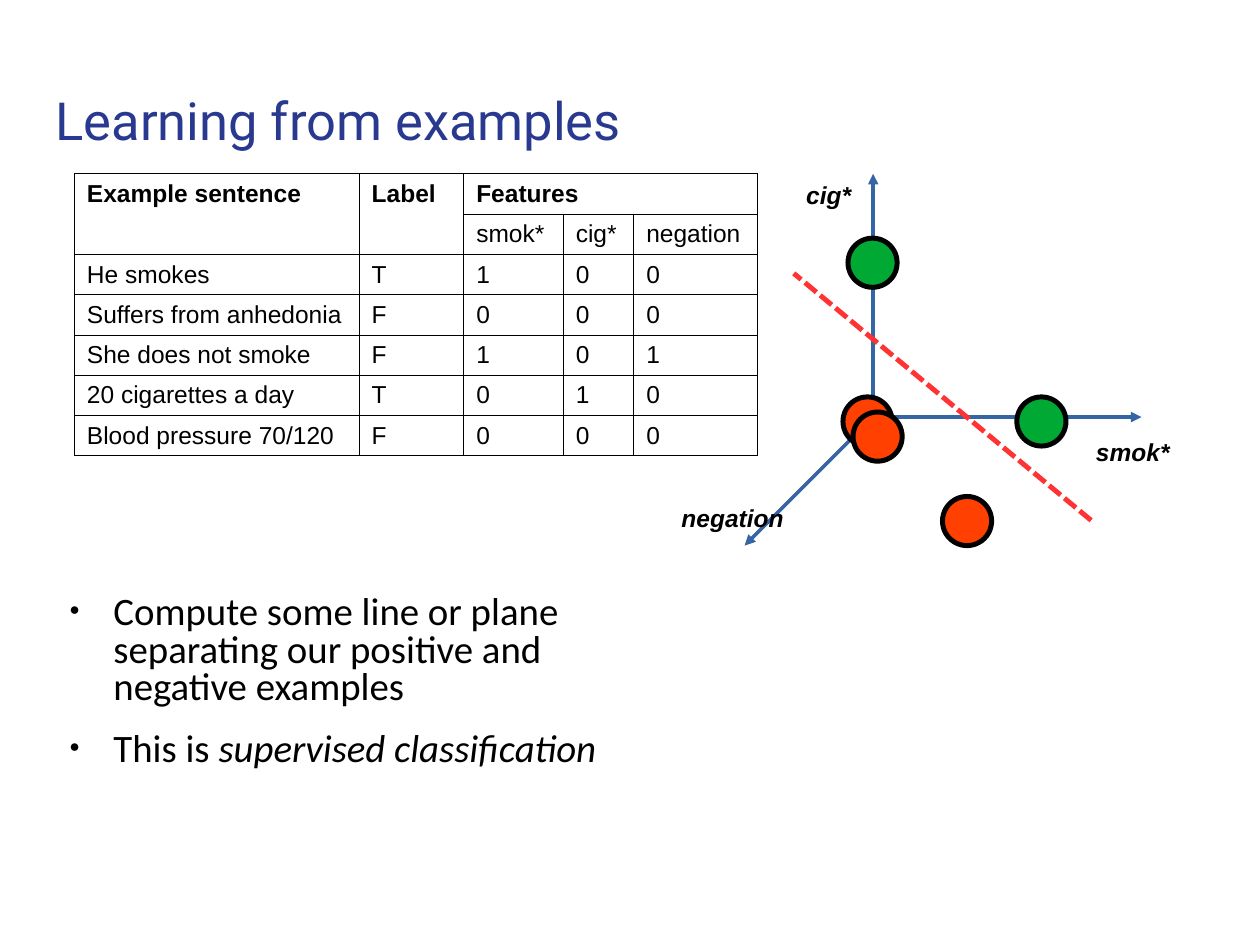
"""Build a slide on learning a classifier from labelled example sentences."""
import pptx
import pptx.dml.color
import pptx.enum.dml
import pptx.enum.shapes
import pptx.enum.text
import pptx.oxml
import pptx.oxml.ns
import pptx.util
from pptx.dml.color import RGBColor
from pptx.util import Inches

BLACK = RGBColor(0, 0, 0)
NAVY = RGBColor(0x2A, 0x39, 0x90)
BLUE = RGBColor(0x34, 0x65, 0xA4)
RED = RGBColor(0xFF, 0x33, 0x33)
GREEN = RGBColor(0x00, 0xA9, 0x33)
ORANGE = RGBColor(0xFF, 0x40, 0x00)

TITLE = "Learning from examples"
ROWS = [
    ("Example sentence", "Label", "Features", "", ""),
    ("", "", "smok*", "cig*", "negation"),
    ("He smokes", "T", "1", "0", "0"),
    ("Suffers from anhedonia", "F", "0", "0", "0"),
    ("She does not smoke", "F", "1", "0", "1"),
    ("20 cigarettes a day", "T", "0", "1", "0"),
    ("Blood pressure 70/120", "F", "0", "0", "0"),
]
COL_WIDTHS = (2.26, 0.83, 0.79, 0.56, 0.98)
ROW_HEIGHT = 0.32
MERGES = [((0, 0), (1, 0)), ((0, 1), (1, 1)), ((0, 2), (0, 4))]
ORIGIN = (6.93, 3.31)
AXIS_ENDS = [(9.06, 3.31), (6.93, 1.38), (5.91, 4.33)]
SEPARATOR = ((8.66, 4.13), (6.3, 2.17))
DOT_SIZE = 0.39
DOTS = [
    (8.07, 3.15, GREEN),
    (7.48, 3.94, ORANGE),
    (6.69, 3.15, ORANGE),
    (6.73, 1.89, GREEN),
    (6.77, 3.27, ORANGE),
]
AXIS_LABELS = [
    ("cig*", 6.3, 1.38, 0.89),
    ("smok*", 8.6, 3.42, 1.04),
    ("negation", 5.31, 3.94, 1.01),
]
BULLETS = [
    [("Compute some line or plane separating our positive and negative examples", False)],
    [("This is ", False), ("supervised classification", True)],
]


def place(sp, left, top, width, height):
    sp.left, sp.top, sp.width, sp.height = map(Inches, (left, top, width, height))


def set_insets(tf, x, y):
    tf.margin_left = tf.margin_right = Inches(x)
    tf.margin_top = tf.margin_bottom = Inches(y)


def add_run(p, text, font, size, color, bold=False, italic=False):
    r = p.add_run()
    r.text = text
    r.font.name, r.font.size = font, pptx.util.Pt(size)
    r.font.bold, r.font.italic = bold, italic
    r.font.color.rgb = color


def add_xml(parent, tag, content="", attrs=""):
    ns = pptx.oxml.ns.nsdecls("a")
    parent.append(pptx.oxml.parse_xml(f"<a:{tag} {ns} {attrs}>{content}</a:{tag}>"))


def add_line(s, start, end, color, width):
    line = s.shapes.add_connector(
        pptx.enum.shapes.MSO_CONNECTOR.STRAIGHT, *map(Inches, start + end))
    line.line.color.rgb = color
    line.line.width = pptx.util.Pt(width)
    add_xml(line._element.spPr, "effectLst")
    return line


def add_title(s):
    sp = s.shapes.title
    place(sp, 0.34, 0.6, 9.32, 0.89)
    tf = sp.text_frame
    tf.auto_size = pptx.enum.text.MSO_AUTO_SIZE.NONE
    tf.vertical_anchor = pptx.enum.text.MSO_ANCHOR.TOP
    set_insets(tf, 0.1, 0.1)
    p = tf.paragraphs[0]
    p.alignment = pptx.enum.text.PP_ALIGN.LEFT
    add_run(p, TITLE, "Roboto", 30, NAVY)


def add_examples(s):
    table = s.shapes.add_table(
        len(ROWS), len(COL_WIDTHS), Inches(0.59), Inches(1.38),
        Inches(sum(COL_WIDTHS)), Inches(ROW_HEIGHT * len(ROWS))).table
    table.first_row = table.horz_banding = False
    for col, width in zip(table.columns, COL_WIDTHS):
        col.width = Inches(width)
    for row in table.rows:
        row.height = Inches(ROW_HEIGHT)
    for (r0, c0), (r1, c1) in MERGES:
        table.cell(r0, c0).merge(table.cell(r1, c1))
    border = f'<a:solidFill><a:srgbClr val="{BLACK}"/></a:solidFill>'
    for i, row in enumerate(ROWS):
        for j, text in enumerate(row):
            cell = table.cell(i, j)
            for side in ("lnL", "lnR", "lnT", "lnB"):
                add_xml(cell._tc.get_or_add_tcPr(), side, border,
                        f'w="{pptx.util.Pt(0.57)}"')
            cell.fill.background()
            set_insets(cell, 0.1, 0.05)
            if text:
                add_run(cell.text_frame.paragraphs[0], text, "Arial", 14, BLACK, bold=i == 0)


def add_plot(s):
    for end in AXIS_ENDS:
        axis = add_line(s, ORIGIN, end, BLUE, 0)
        add_xml(axis.line._get_or_add_ln(), "tailEnd", attrs='type="triangle"')
    separator = add_line(s, *SEPARATOR, RED, 2.83)
    separator.line.dash_style = pptx.enum.dml.MSO_LINE.SQUARE_DOT
    for left, top, color in DOTS:
        dot = s.shapes.add_shape(
            pptx.enum.shapes.MSO_SHAPE.OVAL,
            *map(Inches, (left, top, DOT_SIZE, DOT_SIZE)))
        dot.shadow.inherit = False
        dot.fill.solid()
        dot.fill.fore_color.rgb = color
        dot.line.color.rgb = BLACK
        dot.line.width = pptx.util.Pt(2.83)
    for text, left, top, width in AXIS_LABELS:
        tf = s.shapes.add_textbox(*map(Inches, (left, top, width, 0.32))).text_frame
        tf.word_wrap = False
        tf.auto_size = pptx.enum.text.MSO_AUTO_SIZE.SHAPE_TO_FIT_TEXT
        set_insets(tf, 0.1, 0.05)
        add_run(tf.paragraphs[0], text, "Arial", 14, BLACK, bold=True, italic=True)


def add_bullets(s):
    sp = s.placeholders[1]
    place(sp, 0.43, 4.73, 4.49, 1.53)
    tf = sp.text_frame
    tf.auto_size = pptx.enum.text.MSO_AUTO_SIZE.NONE
    tf.vertical_anchor = pptx.enum.text.MSO_ANCHOR.TOP
    set_insets(tf, 0, 0)
    for i, runs in enumerate(BULLETS):
        p = tf.add_paragraph() if i else tf.paragraphs[0]
        pPr = p._p.get_or_add_pPr()
        pPr.set("marL", str(Inches(0.47)))
        pPr.set("indent", str(Inches(-0.35)))
        add_xml(pPr, "buClr", f'<a:srgbClr val="{BLACK}"/>')
        add_xml(pPr, "buSzPct", attrs='val="45000"')
        add_xml(pPr, "buChar", attrs='char="●"')
        p.line_spacing = 0.8
        p.space_before = pptx.util.Pt(14.2 if i else 0)
        for text, italic in runs:
            add_run(p, text, "Calibri", 22.2, BLACK, italic=italic)


def main():
    prs = pptx.Presentation()
    prs.slide_width, prs.slide_height = Inches(10), Inches(7.5)
    s = prs.slides.add_slide(prs.slide_layouts[1])
    add_title(s)
    add_examples(s)
    add_plot(s)
    add_bullets(s)
    prs.save("out.pptx")


if __name__ == "__main__":
    main()
